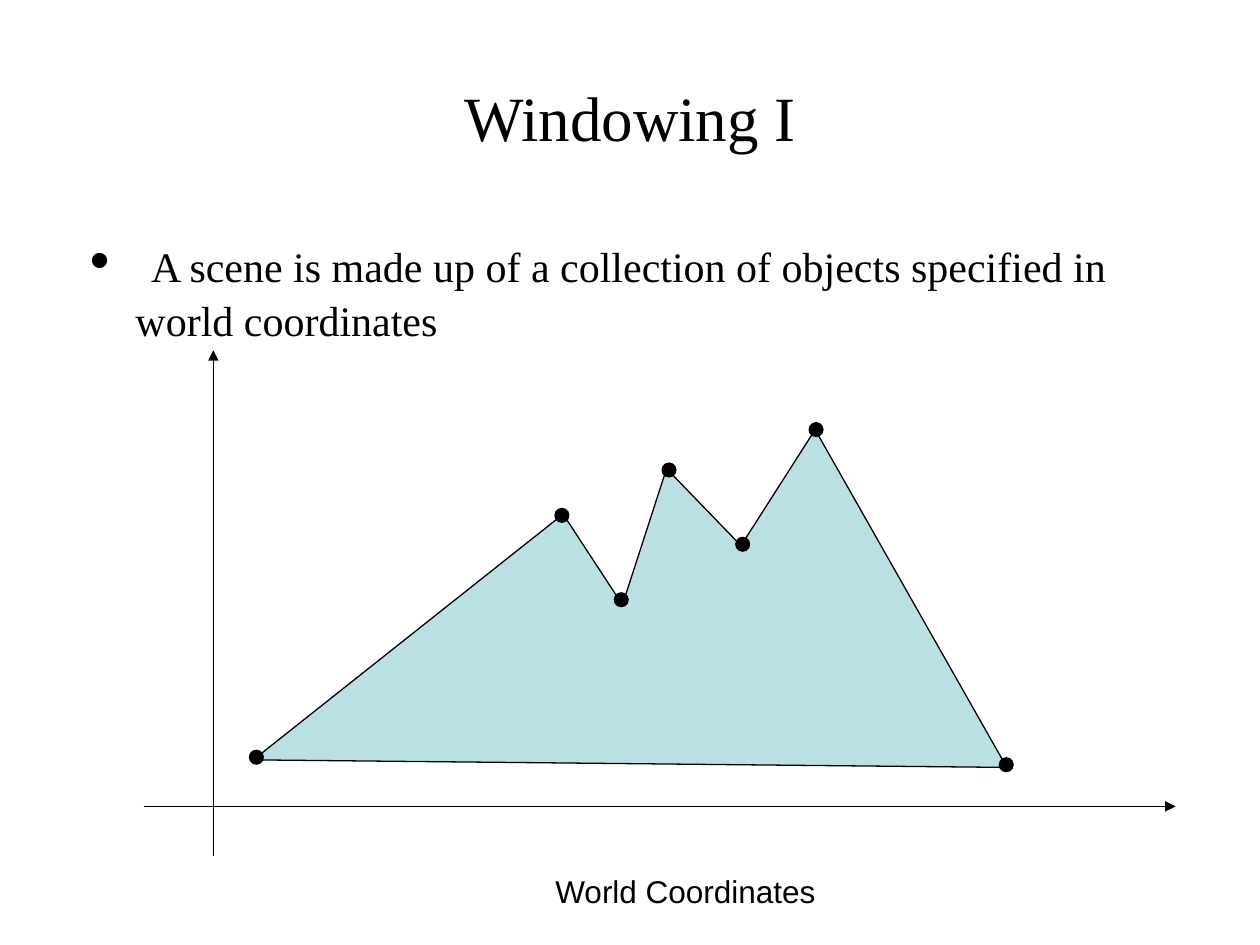
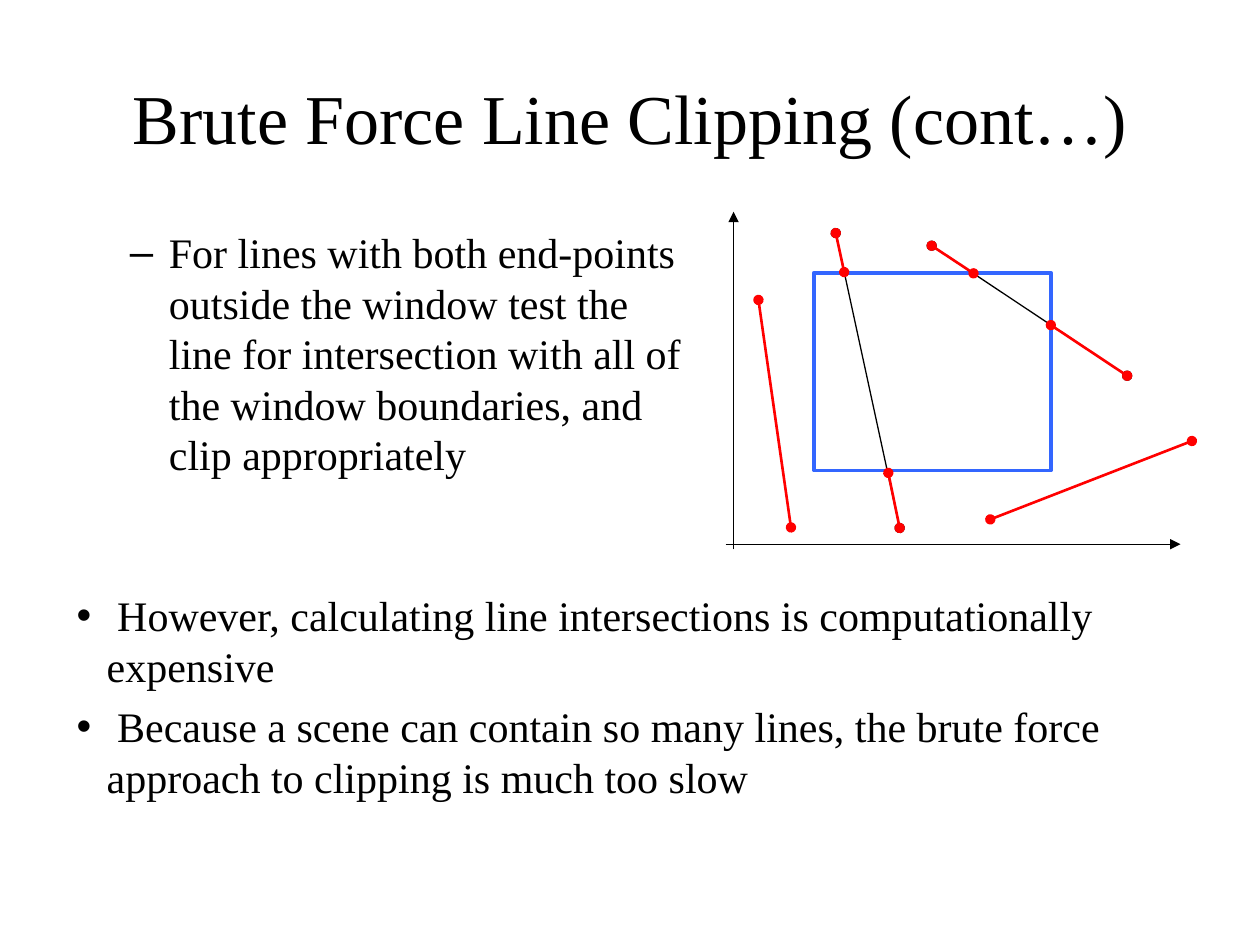
from lxml.etree import SubElement
from pptx import Presentation
from pptx.dml.color import RGBColor
from pptx.enum.shapes import MSO_CONNECTOR, MSO_SHAPE
from pptx.enum.text import MSO_ANCHOR, MSO_AUTO_SIZE, PP_ALIGN
from pptx.oxml.ns import qn
from pptx.util import Pt

HUES = {"ink": "000000", "hill": "BBE0E3", "pane": "3366FF", "cut": "FF0000"}
SERIF, SANS = "Times New Roman", "Arial"
TITLE_BOX = (36, 21.6, 648, 90)

SCENE = {
    "title": ("Windowing I", 36),
    "box": (36, 126, 648, 92.9),
    "list": {
        "items": [[(" ", 32, SANS),
                   ("A scene is made up of a collection of objects specified in world coordinates", 24, SERIF)]],
        "mark": "•", "left": 34.2, "hang": 26,
    },
    "axes": [((82.1, 460.8), (671.8, 460.8)), ((121.9, 489.2), (121.9, 200.2))],
}
PEAKS = [(144.7, 434.2), (321.8, 293.8), (355.7, 345.6), (380.9, 267.8),
         (423.4, 311.8), (465.8, 245.5), (575.3, 438.5)]
DOTS = [(321.1, 294.5), (146.5, 432.7), (355, 342.7), (382.3, 268.6),
        (424.4, 311), (466.3, 245.5), (575, 437)]
DOT = 8.64
LABEL = ("World Coordinates", (310.3, 494.6, 163.4, 28.8))

CLIP = {
    "title": ("Brute Force Line Clipping (cont…)", 40),
    "box": (23.8, 126, 383.8, 176.4),
    "list": {
        "items": [[("For lines with both end-points outside the window test the line for intersection "
                    "with all of the window boundaries, and clip appropriately", 24, SERIF)]],
        "mark": "–", "left": 65.5, "hang": 22.3, "level": 1,
    },
    "axes": [((414.7, 311), (674.6, 311)), ((419.2, 313.9), (419.2, 121))],
}
NOTES_BOX = (36.7, 333.4, 648, 146.9)
NOTES = {
    "items": [
        [(" However, calculating line intersections is computationally expensive", 24, SERIF)],
        [(" Because a scene can contain so many lines, the brute force approach to clipping is much too slow", 24, SERIF)],
    ],
    "mark": "•", "left": 17.2, "hang": 17.2,
}
PANE = (465.1, 155.9, 135.4, 113)
LINES = {
    ("ink", 0.75): [((532.4, 140.4), (644.1, 214.7)), ((477.6, 133.2), (514.1, 301.7))],
    ("cut", 1.5): [
        ((681.1, 252), (565.9, 296.8)), ((433.4, 171.4), (452, 301.4)),
        ((477.6, 133.2), (482.4, 155.5)), ((507.6, 270.2), (514.1, 301.7)),
        ((600.5, 185.8), (644.1, 214.7)), ((532.4, 140.4), (556.3, 156.2)),
    ],
}


def hue(name):
    return RGBColor.from_string(HUES[name])


def pts(nums):
    return [Pt(num) for num in nums]


def place(shape, box):
    shape.left, shape.top, shape.width, shape.height = pts(box)


def add_run(para, text, size, face):
    run = para.add_run()
    run.text = text
    run.font.size = Pt(size)
    run.font.name = face
    run.font.color.rgb = hue("ink")


def add_list(frame, items, mark, left, hang, level=0):
    frame.word_wrap = True
    frame.auto_size = MSO_AUTO_SIZE.NONE
    for num, runs in enumerate(items):
        para = frame.add_paragraph() if num else frame.paragraphs[0]
        para.level = level
        props = para._p.get_or_add_pPr()
        props.set("marL", str(Pt(left)))
        props.set("indent", str(-Pt(hang)))
        SubElement(props, qn("a:buFont")).set("typeface", SANS)
        SubElement(props, qn("a:buChar")).set("char", mark)
        para.space_before = Pt(6 if num else 0)
        for run in runs:
            add_run(para, *run)


def add_line(slide, start, end, tone="ink", width=0.75, head=None, tail=None):
    line = slide.shapes.add_connector(MSO_CONNECTOR.STRAIGHT, *pts(start + end))
    line.line.color.rgb = hue(tone)
    line.line.width = Pt(width)
    for tag, kind in (("a:headEnd", head), ("a:tailEnd", tail)):
        if kind:
            SubElement(line.line._ln, qn(tag)).set("type", kind)
    SubElement(line._element.spPr, qn("a:effectLst"))


def style(shape, fill=None, edge=None, width=0.75):
    shape.shadow.inherit = False
    if fill:
        shape.fill.solid()
        shape.fill.fore_color.rgb = hue(fill)
    else:
        shape.fill.background()
    if edge:
        shape.line.color.rgb = hue(edge)
        shape.line.width = Pt(width)
    else:
        shape.line.fill.background()


def add_slide(deck, page):
    slide = deck.slides.add_slide(deck.slide_layouts[1])
    title, body = slide.placeholders
    place(title, TITLE_BOX)
    frame = title.text_frame
    frame.auto_size = MSO_AUTO_SIZE.NONE
    frame.vertical_anchor = MSO_ANCHOR.MIDDLE
    frame.paragraphs[0].alignment = PP_ALIGN.CENTER
    add_run(frame.paragraphs[0], *page["title"], SERIF)
    place(body, page["box"])
    add_list(body.text_frame, **page["list"])
    return slide


def add_axes(slide, page):
    for start, end in page["axes"]:
        add_line(slide, start, end, tail="triangle")


def draw_scene(deck):
    slide = add_slide(deck, SCENE)
    text, box = LABEL
    frame = slide.shapes.add_textbox(*pts(box)).text_frame
    frame.word_wrap = False
    add_run(frame.paragraphs[0], text, 18, SANS)
    first, *rest = [pts(peak) for peak in PEAKS]
    path = slide.shapes.build_freeform(*first)
    path.add_line_segments(rest, close=True)
    style(path.convert_to_shape(), "hill", "ink")
    add_axes(slide, SCENE)
    for x, y in DOTS:
        box = pts((x - DOT / 2, y - DOT / 2, DOT, DOT))
        style(slide.shapes.add_shape(MSO_SHAPE.OVAL, *box), "ink")


def draw_clip(deck):
    slide = add_slide(deck, CLIP)
    add_list(slide.shapes.add_textbox(*pts(NOTES_BOX)).text_frame, **NOTES)
    add_axes(slide, CLIP)
    style(slide.shapes.add_shape(MSO_SHAPE.RECTANGLE, *pts(PANE)), edge="pane", width=2.25)
    for (tone, width), group in LINES.items():
        for start, end in group:
            add_line(slide, start, end, tone, width, "oval", "oval")


def main():
    deck = Presentation()
    deck.slide_width, deck.slide_height = Pt(720), Pt(540)
    draw_scene(deck)
    draw_clip(deck)
    deck.save("out.pptx")


if __name__ == "__main__":
    main()
